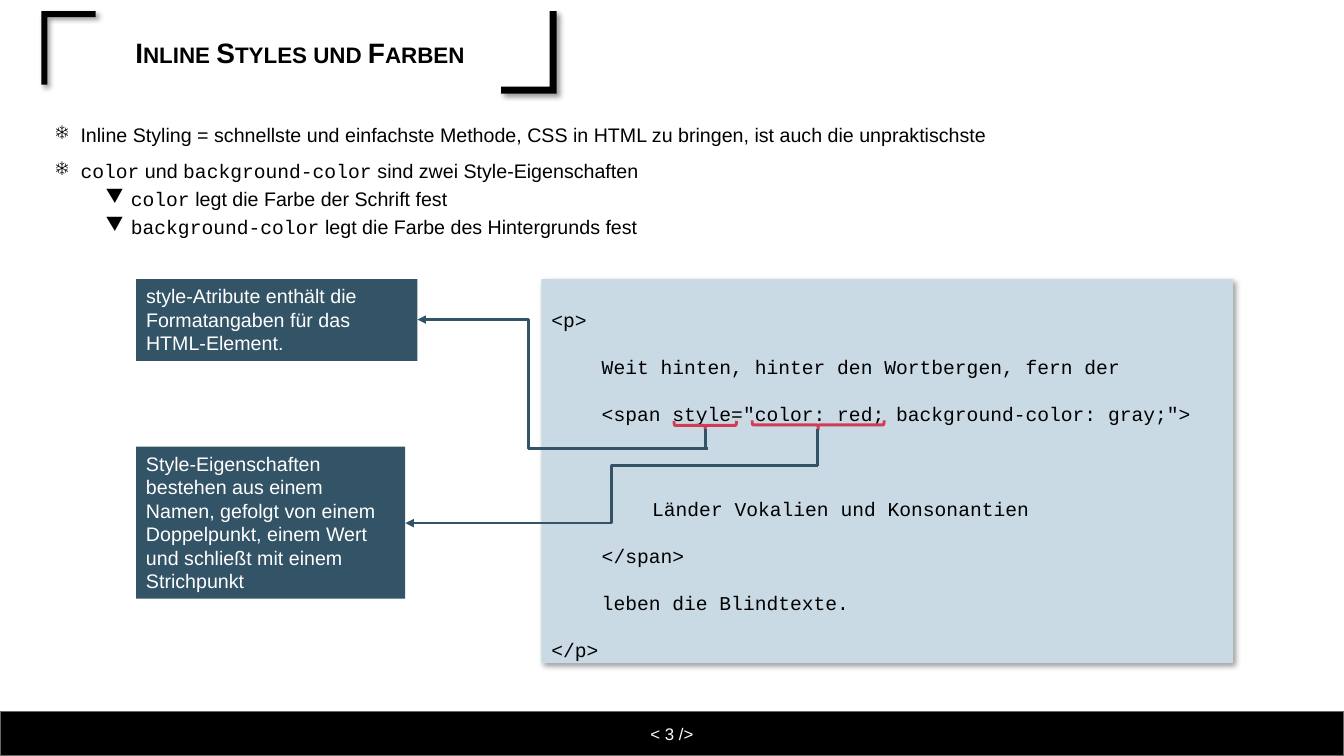
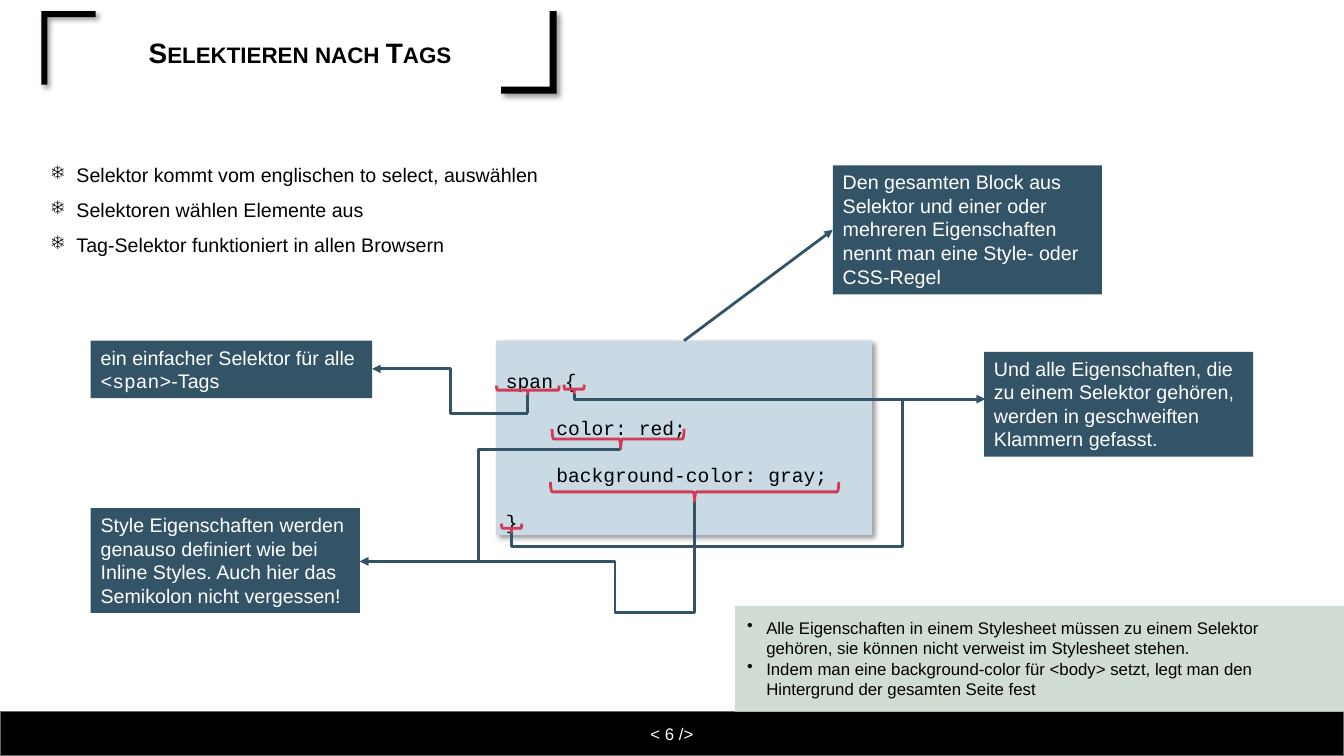
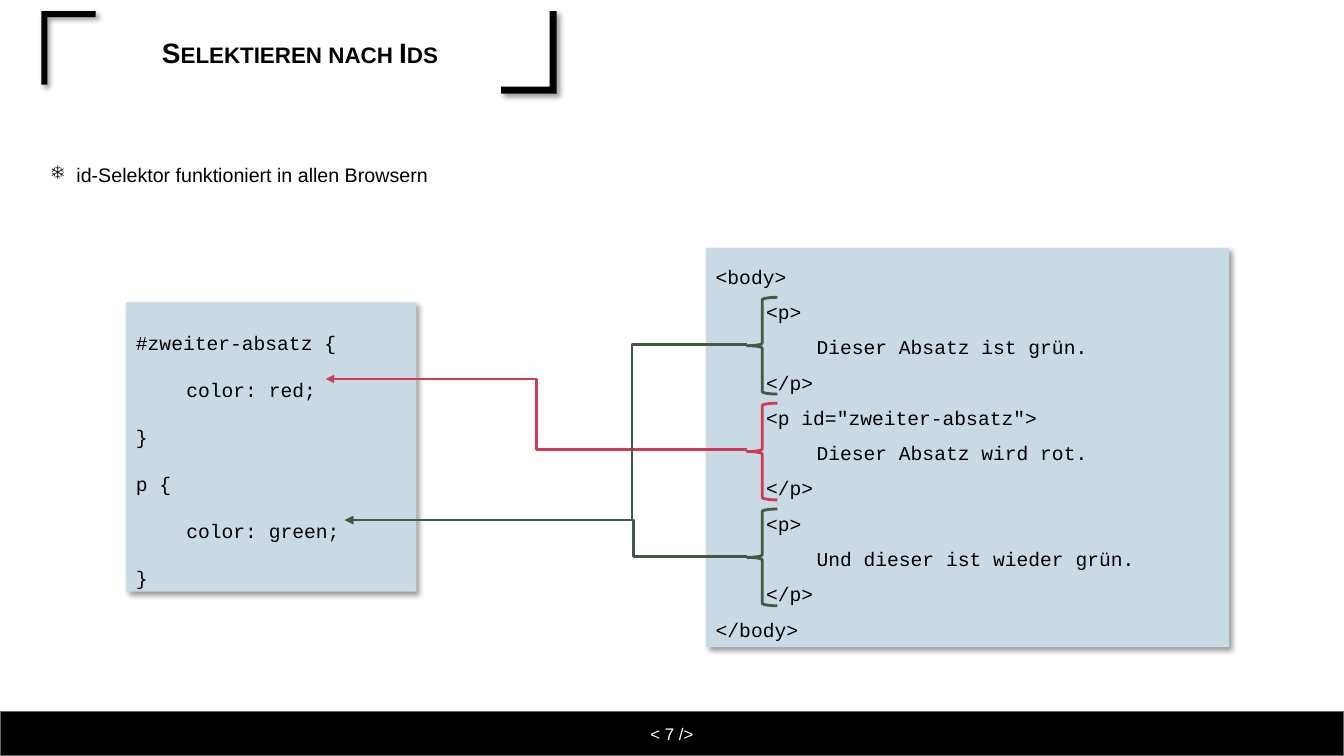
import pptx
import pptx.dml.color
import pptx.enum.shapes
import pptx.enum.text
import pptx.oxml
import pptx.oxml.ns
import pptx.util

RGBColor = pptx.dml.color.RGBColor
Inches = pptx.util.Inches
Pt = pptx.util.Pt
MSO_SHAPE = pptx.enum.shapes.MSO_SHAPE
MSO_CONNECTOR = pptx.enum.shapes.MSO_CONNECTOR
MSO_ANCHOR = pptx.enum.text.MSO_ANCHOR
PP_ALIGN = pptx.enum.text.PP_ALIGN
qn = pptx.oxml.ns.qn

BLACK = RGBColor(0x00, 0x00, 0x00)
WHITE = RGBColor(0xFF, 0xFF, 0xFF)
GREY = RGBColor(0x68, 0x68, 0x63)
BLUE = RGBColor(0x33, 0x53, 0x66)
PALE_BLUE = RGBColor(0xC9, 0xDA, 0xE4)
PALE_GREEN = RGBColor(0xD1, 0xDD, 0xD2)
GREEN = RGBColor(0x42, 0x5A, 0x43)
RED = RGBColor(0xD1, 0x3B, 0x56)
SANS = "Arial"
MONO = "Courier New"

CORNERS = [
    [(0.41, 0.11), (0.95, 0.11), (0.95, 0.17), (0.47, 0.17), (0.47, 0.84), (0.41, 0.84)],
    [(5.45, 0.11), (5.52, 0.11), (5.52, 0.93), (4.97, 0.93), (4.97, 0.86), (5.45, 0.86)],
]
BULLETS = [("❄", 0.25, 10), ("▼", 0.75, 5)]

SLIDES = [
    {
        "title": "Inline Styles und Farben",
        "page": 3,
        "body": ((0.45, 1.2, 11.01, 1.23), [
            (0, "Inline Styling = schnellste und einfachste Methode, CSS in HTML zu bringen, ist auch die unpraktischste"),
            (0, "`color` und `background-color` sind zwei Style-Eigenschaften"),
            (1, "`color` legt die Farbe der Schrift fest"),
            (1, "`background-color` legt die Farbe des Hintergrunds fest"),
        ]),
        "code": [((5.37, 2.77, 6.86, 3.81), 2.0, [
            (0, "<p>"),
            (1, "Weit hinten, hinter den Wortbergen, fern der"),
            (1, '<span style="color: red; background-color: gray;">'),
            (2, "Länder Vokalien und Konsonantien", 34),
            (1, "</span>"),
            (1, "leben die Blindtexte."),
            (0, "</p>"),
        ])],
        "braces": [((8.07, 3.56, 0.09, 1.31), 270, RED), ((6.95, 3.91, 0.09, 0.62), 270, RED)],
        "notes": [
            ((1.35, 2.77, 2.79, 0.81), "style-Atribute enthält die Formatangaben für das HTML-Element."),
            ((1.35, 4.43, 2.67, 1.51), "Style-Eigenschaften bestehen aus einem Namen, gefolgt von einem "
             "Doppelpunkt, einem Wert und schließt mit einem Strichpunkt"),
        ],
        "elbows": [
            ((4.14, 3.17), (7.02, 4.45), (5.24,), BLUE),
            ((4.02, 5.19), (8.11, 4.62), (6.07,), BLUE),
        ],
        "stems": [((8.11, 4.62), (8.11, 4.26)), ((7, 4.45), (7, 4.26))],
    },
    {
        "title": "Selektieren nach Tags",
        "page": 6,
        "body": ((0.41, 1.59, 11.01, 1.02), [
            (0, "Selektor kommt vom englischen to select, auswählen"),
            (0, "Selektoren wählen Elemente aus"),
            (0, "Tag-Selektor funktioniert in allen Browsern"),
        ]),
        "code": [((4.92, 3.38, 3.73, 1.93), 2.0, [
            (0, "span {"),
            (1, "color: red;"),
            (1, "background-color: gray;"),
            (0, "}"),
        ])],
        "braces": [
            ((6.79, 3.45, 0.2, 2.86), 270, RED),
            ((5.19, 3.56, 0.09, 0.62), 270, RED),
            ((6.03, 3.7, 0.2, 1.31), 270, RED, 0.52),
            ((5.65, 3.76, 0.09, 0.2), 270, RED),
            ((5.03, 5.14, 0.09, 0.2), 270, RED),
        ],
        "notes": [
            ((0.9, 3.38, 2.79, 0.57), "ein einfacher Selektor für alle `<span>`-Tags"),
            ((0.9, 5.04, 2.67, 1.04), "Style Eigenschaften werden genauso definiert wie bei Inline Styles. "
             "Auch hier das Semikolon nicht vergessen!"),
            ((9.76, 3.49, 2.67, 1.04), "Und alle Eigenschaften, die zu einem Selektor gehören, werden in "
             "geschweiften Klammern gefasst."),
            ((8.26, 1.64, 2.67, 1.28), "Den gesamten Block aus Selektor und einer oder mehreren "
             "Eigenschaften nennt man eine Style- oder CSS-Regel"),
        ],
        "elbows": [
            ((3.69, 3.66), (5.24, 4.1), (4.47,), BLUE),
            ((3.57, 5.57), (6.89, 4.98), (6.1, 6.08), BLUE),
            ((3.57, 5.57), (5.93, 4.46), (4.75,), BLUE),
            ((9.77, 3.96), (5.7, 3.91), (), BLUE),
            ((9.77, 3.96), (5.07, 5.29), (8.95, 5.42), BLUE),
        ],
        "stems": [((5.23, 4.1), (5.23, 3.92)), ((5.88, 4.46), (6.15, 4.46))],
        "rule_note": 3,
        "hint": ((7.29, 6.01, 6.04, 1.05), [
            "Alle Eigenschaften in einem Stylesheet müssen zu einem Selektor gehören, sie können nicht "
            "verweist im Stylesheet stehen.",
            "Indem man eine background-color für <body> setzt, legt man den Hintergrund der gesamten Seite fest",
        ]),
    },
    {
        "title": "Selektieren nach Ids",
        "page": 7,
        "body": ((0.41, 1.59, 11.01, 0.31), [(0, "id-Selektor funktioniert in allen Browsern")]),
        "code": [
            ((1.25, 3, 2.88, 2.87), 2.0, [
                (0, "#zweiter-absatz {"),
                (1, "color: red;"),
                (0, "}"),
                (0, "p {"),
                (1, "color: green;"),
                (0, "}"),
            ]),
            ((7, 2.46, 5.19, 3.96), 1.5, [
                (0, "<body>"),
                (1, "<p>"),
                (2, "Dieser Absatz ist grün."),
                (1, "</p>"),
                (1, '<p id="zweiter-absatz">'),
                (2, "Dieser Absatz wird rot."),
                (1, "</p>"),
                (1, "<p>"),
                (2, "Und dieser ist wieder grün."),
                (1, "</p>"),
                (0, "</body>"),
            ]),
        ],
        "braces": [((7.41, 2.95 + 1.05 * i, 0.3, 0.96), 0, color) for i, color in enumerate((GREEN, RED, GREEN))],
        "elbows": [
            ((3.23, 3.76), (7.41, 4.46), (5.32,), RED),
            ((3.42, 5.16), (7.41, 3.42), (6.27,), GREEN),
            ((3.42, 5.16), (7.41, 5.52), (6.28,), GREEN),
        ],
    },
]


def add_xml(parent, tag, **attrs):
    child = parent.makeelement(qn(tag), {k: str(v) for k, v in attrs.items()})
    parent.append(child)
    return child


def add_shadow(shape):
    effects = add_xml(shape._element.spPr, "a:effectLst")
    outer = add_xml(effects, "a:outerShdw", blurRad=Pt(4), dist=Pt(3), dir=45 * 60000, algn="tl", rotWithShape=0)
    add_xml(add_xml(outer, "a:srgbClr", val="000000"), "a:alpha", val=40000)


def paint(shape, fill, shadow=False):
    shape.fill.solid()
    shape.fill.fore_color.rgb = fill
    shape.line.fill.background()
    if shadow:
        add_shadow(shape)
    else:
        shape.shadow.inherit = False
    return shape


def add_box(s, at, fill, shadow=False):
    return paint(s.shapes.add_shape(MSO_SHAPE.RECTANGLE, *map(Inches, at)), fill, shadow)


def set_frame(shape, **settings):
    tf = shape.text_frame
    values = {"word_wrap": True, "vertical_anchor": MSO_ANCHOR.TOP, **settings}
    for name, value in values.items():
        setattr(tf, name, value)
    return tf


def add_paragraph(tf, text, color, size=14, font=SANS, bullet=None, left=0, hang=0, **settings):
    p = tf.paragraphs[0]
    if p.runs:
        p = tf.add_paragraph()
    else:
        settings.pop("space_before", None)
    pPr = p._p.get_or_add_pPr()
    pPr.set("marL", str(Inches(left)))
    pPr.set("indent", str(Inches(-hang)))
    if bullet:
        add_xml(pPr, "a:buChar", char=bullet)
    for name, value in {"alignment": PP_ALIGN.LEFT, **settings}.items():
        setattr(p, name, value)
    for i, part in enumerate(text.split("`")):
        if part:
            r = p.add_run()
            r.text = part
            r.font.size = Pt(size)
            r.font.name = MONO if i % 2 else font
            r.font.color.rgb = color
    return p


def add_line(s, kind, start, end, color, arrow=None):
    c = s.shapes.add_connector(kind, *map(Inches, start + end))
    c.line.color.rgb = color
    c.line.width = Pt(2)
    if arrow:
        add_xml(c.line._get_or_add_ln(), arrow, type="triangle")
    add_xml(c._element.spPr, "a:effectLst")
    return c


def add_elbow(s, start, end, bends, color):
    c = add_line(s, MSO_CONNECTOR.ELBOW, start, end, color, "a:headEnd")
    geom = c._element.spPr.find(qn("a:prstGeom"))
    geom.set("prst", f"bentConnector{2 + len(bends)}")
    guides = geom.find(qn("a:avLst"))
    if guides is None:
        guides = add_xml(geom, "a:avLst")
    for i, (bend, a, b) in enumerate(zip(bends, start, end), 1):
        add_xml(guides, "a:gd", name=f"adj{i}", fmla=f"val {round((bend - a) / (b - a) * 100000)}")


def add_brace(s, at, rotation, color, middle=0.5):
    brace = s.shapes.add_shape(MSO_SHAPE.LEFT_BRACE, *map(Inches, at))
    brace.rotation = rotation
    brace.adjustments[1] = middle
    brace.fill.background()
    brace.line.color.rgb = color
    brace.line.width = Pt(2)
    brace.shadow.inherit = False


def add_frame(s, title, page):
    for points in CORNERS:
        start, *rest = [tuple(map(Inches, point)) for point in points]
        builder = s.shapes.build_freeform(*start)
        builder.add_line_segments(rest, close=True)
        paint(builder.convert_to_shape(), BLACK, shadow=True)
    band = add_box(s, (0, 7.06, 13.33, 0.44), BLACK)
    band.line.color.rgb = GREY
    band.line.width = Pt(1)
    tf = set_frame(band, vertical_anchor=MSO_ANCHOR.MIDDLE)
    add_paragraph(tf, f"< {page} />", WHITE, 12, alignment=PP_ALIGN.CENTER)
    box = s.shapes.add_textbox(*map(Inches, (0.53, 0.24, 4.89, 0.6)))
    tf = set_frame(box, vertical_anchor=MSO_ANCHOR.MIDDLE)
    p = add_paragraph(tf, title, BLACK, 20, alignment=PP_ALIGN.CENTER, line_spacing=0.9)
    p.runs[0].font.bold = True
    p.runs[0].font._element.set("cap", "small")


def add_body(s, at, items):
    tf = set_frame(s.shapes.add_textbox(*map(Inches, at)))
    for level, text in items:
        bullet, left, before = BULLETS[level]
        add_paragraph(tf, text, BLACK, bullet=bullet, left=left, hang=0.25,
                      line_spacing=0.9, space_before=Pt(before))


def add_code(s, at, spacing, lines):
    box = add_box(s, at, PALE_BLUE, shadow=True)
    tf = set_frame(box)
    for level, text, *before in lines:
        add_paragraph(tf, text, BLACK, font=MONO, left=level / 2, line_spacing=spacing,
                      space_before=Pt(sum(before)))
    return box


def add_note(s, at, text):
    box = add_box(s, at, BLUE)
    add_paragraph(set_frame(box), text, WHITE)
    return box


def add_hint(s, at, items):
    margins = dict.fromkeys(("margin_left", "margin_top", "margin_bottom"), Inches(0.12))
    tf = set_frame(add_box(s, at, PALE_GREEN), margin_right=Inches(0.55), **margins)
    for text in items:
        add_paragraph(tf, text, BLACK, 12, bullet="•", left=0.19, hang=0.19)


def build_slide(prs, content):
    s = prs.slides.add_slide(prs.slide_layouts[6])
    add_frame(s, content["title"], content["page"])
    add_body(s, *content["body"])
    code = [add_code(s, *block) for block in content["code"]]
    for brace in content["braces"]:
        add_brace(s, *brace)
    notes = [add_note(s, *note) for note in content.get("notes", [])]
    for elbow in content["elbows"]:
        add_elbow(s, *elbow)
    for start, end in content.get("stems", []):
        add_line(s, MSO_CONNECTOR.STRAIGHT, start, end, BLUE)
    if "rule_note" in content:
        arrow = add_line(s, MSO_CONNECTOR.STRAIGHT, (6.79, 3.38), (8.26, 2.28), BLUE, "a:tailEnd")
        arrow.begin_connect(code[0], 0)
        arrow.end_connect(notes[content["rule_note"]], 1)
    if "hint" in content:
        add_hint(s, *content["hint"])


def main():
    prs = pptx.Presentation()
    prs.slide_width = Inches(13.33)
    prs.slide_height = Inches(7.5)
    for content in SLIDES:
        build_slide(prs, content)
    prs.save("out.pptx")


if __name__ == "__main__":
    main()
